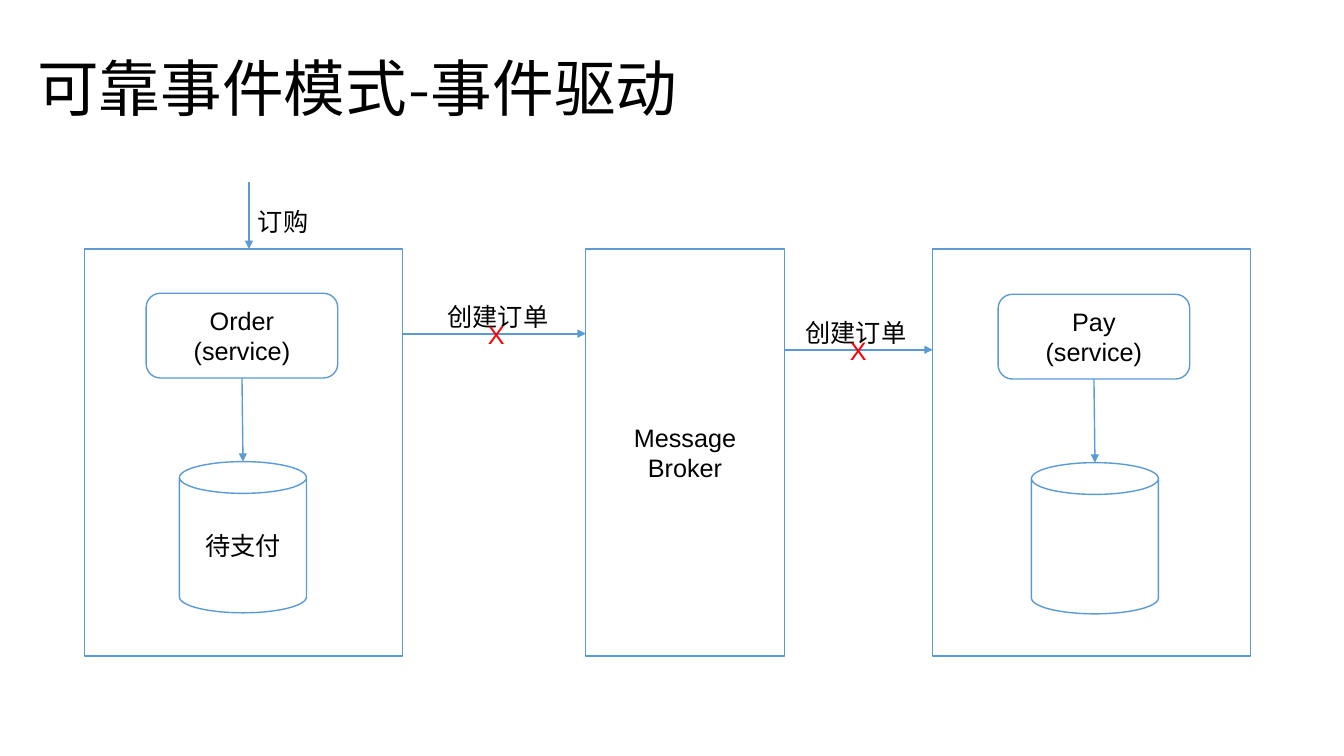
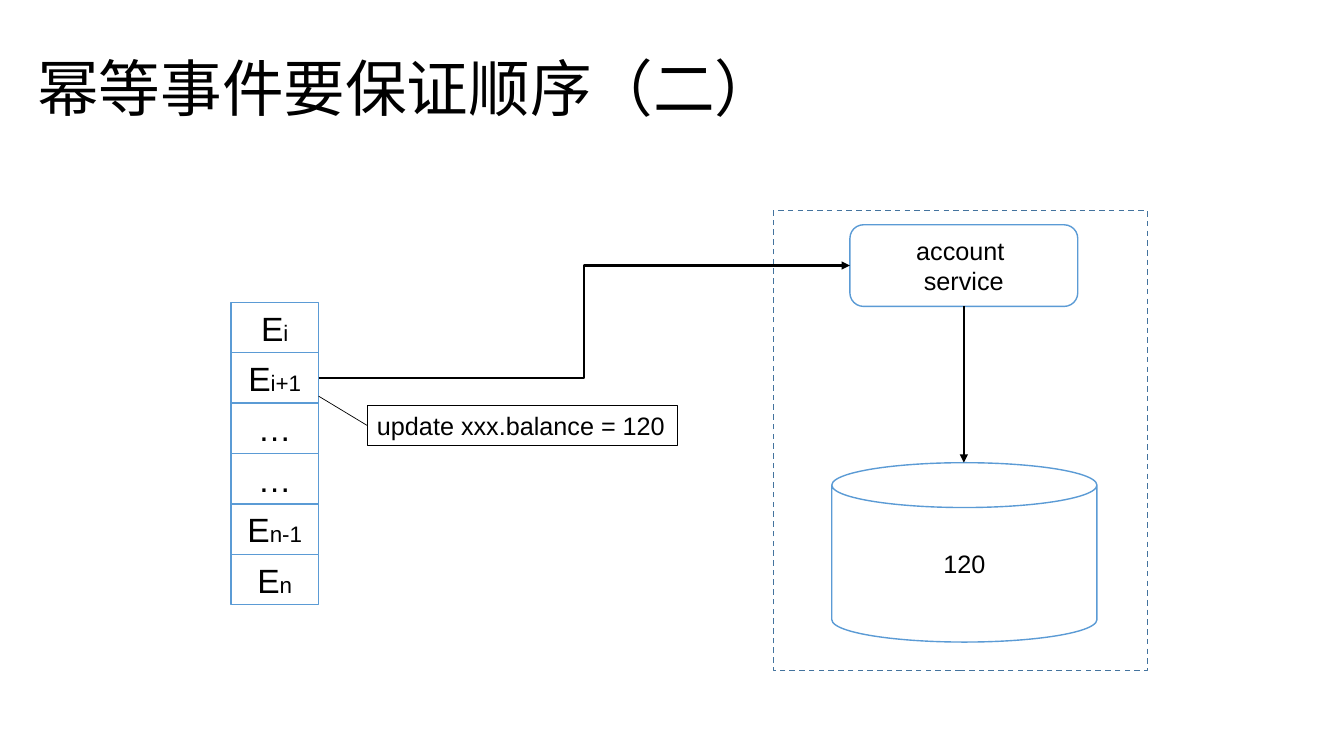
from dataclasses import dataclass

from lxml import etree
from pptx import Presentation
from pptx.dml.color import RGBColor
from pptx.enum.dml import MSO_LINE
from pptx.enum.shapes import MSO_CONNECTOR, MSO_SHAPE
from pptx.enum.text import MSO_ANCHOR, MSO_AUTO_SIZE, PP_ALIGN
from pptx.oxml.ns import qn
from pptx.util import Inches, Pt

RECT, ROUND, CAN = MSO_SHAPE.RECTANGLE, MSO_SHAPE.ROUNDED_RECTANGLE, MSO_SHAPE.CAN
STRAIGHT, ELBOW = MSO_CONNECTOR.STRAIGHT, MSO_CONNECTOR.ELBOW
LEFT, CENTER = PP_ALIGN.LEFT, PP_ALIGN.CENTER
TOP, MIDDLE = MSO_ANCHOR.TOP, MSO_ANCHOR.MIDDLE
NO_FIT, DASH = MSO_AUTO_SIZE.NONE, MSO_LINE.DASH
SIDE_LEFT, SIDE_BOTTOM, SIDE_RIGHT = 1, 2, 3
TITLE_ONLY = 5


@dataclass(frozen=True)
class Theme:
    ink: str = "000000"
    paper: str = "FFFFFF"
    blue: str = "5B9BD5"
    navy: str = "43739E"
    red: str = "FF0000"
    head_font: str = "Montserrat"
    font: str = "Arial"
    head: int = 44
    cell: int = 24
    body: int = 18
    index: int = 16
    hair: float = 0.5
    thin: float = 1
    bold: float = 1.5


class Deck:
    def __init__(self, theme):
        self.theme = theme
        self.show = Presentation()
        self.show.slide_width = Inches(13.33)
        self.show.slide_height = Inches(7.5)
        self.slide = None

    def style(self, font, size, color, name):
        font.size = Pt(size)
        font.name = name
        font.color.rgb = RGBColor.from_string(color)

    def words(self, frame, text, align, color=None, size=None, name=None):
        t = self.theme
        frame.text = text
        for para in frame.paragraphs:
            para.alignment = align
            for run in para.runs:
                self.style(run.font, size or t.body, color or t.ink, name or t.font)

    def page(self, title):
        """Add a slide with the shared title style."""
        t = self.theme
        self.slide = self.show.slides.add_slide(self.show.slide_layouts[TITLE_ONLY])
        head = self.slide.shapes.title
        head.left, head.top = Inches(0.27), Inches(0.53)
        head.width, head.height = Inches(8.22), Inches(0.76)
        frame = head.text_frame
        frame.auto_size = NO_FIT
        frame.vertical_anchor = MIDDLE
        self.words(frame, title, LEFT, size=t.head, name=t.head_font)
        frame.paragraphs[0].line_spacing = 0.9

    def box(self, kind, x, y, w, h, text="", size=None, color=None, dash=None):
        """Add a white outlined shape with centred text."""
        t = self.theme
        shape = self.slide.shapes.add_shape(
            kind, Inches(x), Inches(y), Inches(w), Inches(h))
        shape.shadow.inherit = False
        shape.fill.solid()
        shape.fill.fore_color.rgb = RGBColor.from_string(t.paper)
        shape.line.color.rgb = RGBColor.from_string(color or t.blue)
        shape.line.width = Pt(t.thin)
        if dash:
            shape.line.dash_style = dash
        if text:
            shape.text_frame.vertical_anchor = MIDDLE
            self.words(shape.text_frame, text, CENTER, size=size)
        return shape

    def cell(self, x, y, w, h, text, index):
        """Add a queue cell whose letter carries a small index."""
        t = self.theme
        shape = self.box(RECT, x, y, w, h, text, t.cell)
        if index:
            run = shape.text_frame.paragraphs[0].add_run()
            run.text = index
            self.style(run.font, t.index, t.ink, t.font)
        return shape

    def label(self, x, y, w, text, color=None, frame=False):
        """Add one line of text, framed on request."""
        t = self.theme
        box = self.slide.shapes.add_textbox(
            Inches(x), Inches(y), Inches(w), Inches(0.4))
        box.text_frame.word_wrap = False
        box.text_frame.vertical_anchor = TOP
        self.words(box.text_frame, text, LEFT, color)
        if frame:
            box.line.color.rgb = RGBColor.from_string(t.ink)
            box.line.width = Pt(t.hair)

    def line(self, start, end, color, width, kind=STRAIGHT, tip=True,
             source=None, target=None):
        """Draw a line; source and target are (shape, side) joints."""
        link = self.slide.shapes.add_connector(
            kind, *(Inches(v) for v in (*start, *end)))
        if source:
            link.begin_connect(*source)
        if target:
            link.end_connect(*target)
        link.line.color.rgb = RGBColor.from_string(color)
        link.line.width = Pt(width)
        props = link.element.spPr
        if tip:
            etree.SubElement(props.find(qn("a:ln")), qn("a:tailEnd"), type="triangle")
        etree.SubElement(props, qn("a:effectLst"))

    def service(self, x, y, name, state=""):
        """Add a service, its data store and the arrow between them."""
        t = self.theme
        node = self.box(ROUND, x, y, 1.9, 0.84, f"{name}\n(service)")
        self.box(CAN, x + 0.33, y + 1.67, 1.26, 1.5, state)
        self.line((x + 0.95, y + 0.84), (x + 0.96, y + 1.67), t.blue, t.thin,
                  source=(node, SIDE_BOTTOM))


def events(deck):
    t = deck.theme
    deck.page("可靠事件模式-事件驱动")

    # Services and broker
    top, high = 2.47, 4.04
    deck.box(RECT, 0.84, top, 3.15, high)
    deck.service(1.45, 2.91, "Order", "待支付")
    deck.box(RECT, 5.81, top, 1.97, high, "Message Broker")
    deck.box(RECT, 9.25, top, 3.15, high)
    deck.service(9.9, 2.92, "Pay")

    # Incoming order
    deck.line((2.47, 1.81), (2.47, top), t.blue, t.thin)
    deck.label(2.46, 2, 0.71, "订购")

    # Failing messages: arrow ends, height, label and cross
    for x1, x2, y, text_x, cross_x in ((3.99, 5.81, 3.31, 4.34, 4.74),
                                       (7.79, 9.25, 3.47, 7.89, 8.33)):
        deck.line((x1, y), (x2, y), t.blue, t.bold)
        deck.label(text_x, y - 0.37, 1.21, "创建订单")
        deck.label(cross_x, y - 0.19, 0.37, "X", t.red)


def order(deck):
    t = deck.theme
    deck.page("幂等事件要保证顺序（二）")

    # Event queue
    marks = (("E", "i"), ("E", "i+1"), ("…", ""), ("…", ""), ("E", "n-1"), ("E", "n"))
    cells = [deck.cell(2.29, 3 + 0.5 * row, 0.87, 0.5, *mark)
             for row, mark in enumerate(marks)]

    # Account service and its store
    deck.box(RECT, 7.67, 2.09, 3.71, 4.56, color=t.navy, dash=DASH)
    node = deck.box(ROUND, 8.43, 2.23, 2.26, 0.81, "account \nservice")
    deck.box(CAN, 8.25, 4.59, 2.63, 1.78, "120")
    deck.line((9.56, 3.04), (9.56, 4.59), t.ink, t.bold, source=(node, SIDE_BOTTOM))
    deck.line((3.16, 3.75), (8.43, 2.64), t.ink, t.bold, ELBOW,
              source=(cells[1], SIDE_RIGHT), target=(node, SIDE_LEFT))

    # Event callout
    deck.label(3.64, 4.02, 3.08, "update xxx.balance = 120", frame=True)
    deck.line((3.64, 4.22), (3.16, 3.93), t.ink, t.hair, tip=False)


def main():
    deck = Deck(Theme())
    events(deck)
    order(deck)
    deck.show.save("out.pptx")


if __name__ == "__main__":
    main()
